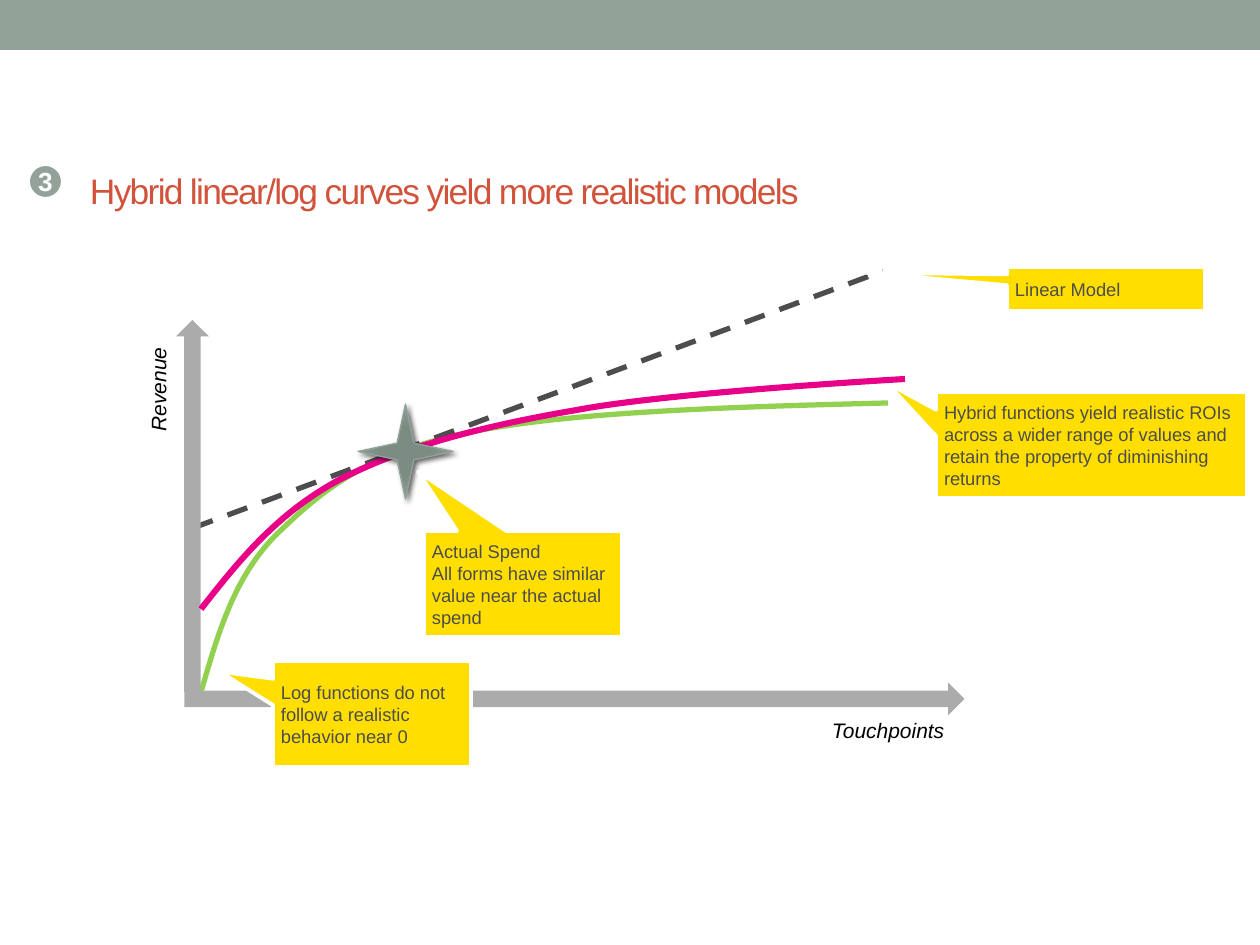
from lxml.etree import SubElement
from pptx import Presentation
from pptx.dml.color import RGBColor as Rgb
from pptx.enum.dml import MSO_LINE_DASH_STYLE as Dash
from pptx.enum.shapes import MSO_CONNECTOR as Connector, MSO_SHAPE as Shape
from pptx.enum.text import MSO_ANCHOR as Anchor, MSO_AUTO_SIZE as AutoSize, PP_ALIGN as Align
from pptx.oxml import parse_xml
from pptx.oxml.ns import nsdecls, qn
from pptx.util import Emu, Pt

PX = 914400 / 126
THEME = {
    "font": "Arial",
    "sage": "93A299", "title": "D2533C", "axis": "ABABAB", "yellow": "FFDE00",
    "gray": "4D4D4D", "white": "FFFFFF", "black": "000000",
    "log": "92D050", "hybrid": "E80088",
    "star": [(0, "7B8E82"), (34, "7B8D83"), (70, "8A9E92"), (100, "93A299")],
    "title_size": 20.2, "badge_size": 15, "axis_size": 12, "note_size": 10.5,
}


def write(shape, lines, color, size, inset=(8, 4), wrap=True, anchor=Anchor.MIDDLE,
          align=Align.LEFT, **style):
    """Fill a shape with one paragraph per line, all in one style."""
    frame = shape.text_frame
    frame.word_wrap, frame.vertical_anchor = wrap, anchor
    across, down = (Emu(round(pixels * PX)) for pixels in inset)
    for side, margin in zip(("left", "top", "right", "bottom"), (across, down) * 2):
        setattr(frame, f"margin_{side}", margin)
    for index, line in enumerate(lines):
        para = frame.add_paragraph() if index else frame.paragraphs[0]
        para.alignment = align
        span = para.add_run()
        span.text = line
        span.font.color.rgb = Rgb.from_string(THEME[color])
        for name, value in {"name": THEME["font"], "size": Pt(THEME[size]), **style}.items():
            setattr(span.font, name, value)


def draw(kind, place, fill=None, line=None, width=0):
    """Add a preset shape, placed in px, with a plain fill and outline."""
    shape = page.shapes.add_shape(kind, *(Emu(round(pixels * PX)) for pixels in place))
    shape.shadow.inherit = False
    if fill:
        shape.fill.solid()
        shape.fill.fore_color.rgb = Rgb.from_string(THEME[fill])
    if line:
        shape.line.color.rgb = Rgb.from_string(THEME[line])
        shape.line.width = Pt(width)
    else:
        shape.line.fill.background()
    return shape


deck = Presentation()
deck.slide_width, deck.slide_height = Emu(round(1260 * PX)), Emu(round(945 * PX))
page = deck.slides.add_slide(deck.slide_layouts[5])
parts = {}

# Header band, title, plot area and badge
draw(Shape.RECTANGLE, (0, 0, 1260, 50), "sage")
title = page.shapes.title
for name, pixels in {"left": 77, "top": 130, "width": 1171, "height": 121}.items():
    setattr(title, name, Emu(round(pixels * PX)))
write(title, ["Hybrid linear/log curves yield more realistic models"], "title", "title_size",
      inset=(13, 6))
title.text_frame.auto_size = AutoSize.NONE
title.text_frame.paragraphs[0].runs[0].font._element.set("spc", "-95")
draw(Shape.RECTANGLE, (74, 277, 945, 478), "white")
parts["badge"] = draw(Shape.OVAL, (26, 162, 39, 39), "sage", "white", 4.5)
write(parts["badge"], ["3"], "white", "badge_size", inset=(0, 0), align=Align.CENTER, bold=True)

# Curves: each start point is followed by cubic Bezier triples
curves = [
    ("log", 3, [(201, 692), (218, 634), (234, 576), (278, 533), (323, 490), (364, 455),
                (466, 433), (567, 412), (728, 407), (888, 403)]),
    ("hybrid", 3.5, [(201, 609), (238, 562), (276, 514), (339, 480), (402, 447), (483, 426),
                     (577, 410), (672, 392), (905, 379), (905, 379)]),
]
for name, width, knots in curves:
    start, *rest = [(round(x * PX), round(y * PX)) for x, y in knots]
    builder = page.shapes.build_freeform(*start)
    builder.add_line_segments(rest, close=False)
    curve = parts[name] = builder.convert_to_shape()
    outline = curve._element.spPr.find(".//" + qn("a:path"))
    segments = outline.findall(qn("a:lnTo"))
    for first in range(0, len(segments), 3):
        bend = SubElement(outline, qn("a:cubicBezTo"))
        for segment in segments[first:first + 3]:
            bend.append(segment[0])
            outline.remove(segment)
    curve.shadow.inherit = False
    curve.fill.background()
    curve.line.color.rgb = Rgb.from_string(THEME[name])
    curve.line.width = Pt(width)

linear = parts["linear"] = page.shapes.add_connector(
    Connector.STRAIGHT, *(Emu(round(pixels * PX)) for pixels in (193, 528, 883, 271)))
linear.line.color.rgb = Rgb.from_string(THEME["gray"])
linear.line.width = Pt(3)
linear.line.dash_style = Dash.DASH
SubElement(linear._element.spPr, qn("a:effectLst"))

# Axes
axes = [
    ("Revenue", (176, 320, 33, 372), 0, (108, 372, 101, 34), 270),
    ("Touchpoints", (558, 309, 33, 780), 90, (824, 714, 131, 34), 0),
]
for label, place, turn, label_place, label_turn in axes:
    arrow = parts[label + " axis"] = draw(Shape.UP_ARROW, place, "axis")
    arrow.rotation = turn
    box = parts[label] = page.shapes.add_textbox(
        *(Emu(round(pixels * PX)) for pixels in label_place))
    box.rotation = label_turn
    write(box, [label], "black", "axis_size", wrap=False, anchor=Anchor.TOP, italic=True)
    box.text_frame.auto_size = AutoSize.SHAPE_TO_FIT_TEXT

# Marker at the actual spend
star = parts["star"] = draw(Shape.STAR_4_POINT, (358, 404, 95, 95), line="sage", width=0.75)
stops = "".join(f'<a:gs pos="{at * 1000}"><a:srgbClr val="{color}"/></a:gs>'
                for at, color in THEME["star"])
properties = star._element.spPr
properties.find(qn("a:prstGeom")).addnext(parse_xml(
    f'<a:gradFill {nsdecls("a")} rotWithShape="1"><a:gsLst>{stops}</a:gsLst><a:path path="circle">'
    '<a:fillToRect l="100000" t="100000" r="100000" b="100000"/></a:path></a:gradFill>'))
properties.find(qn("a:effectLst")).append(parse_xml(
    f'<a:outerShdw {nsdecls("a")} blurRad="{Pt(3)}" dist="{Pt(2)}" dir="2700000">'
    f'<a:srgbClr val="{THEME["black"]}"><a:alpha val="60000"/></a:srgbClr></a:outerShdw>'))

# Callouts: place, pointer tip relative to the centre, lines
callouts = [
    ("hybrid note", (936, 392, 311, 106), (-0.66, -0.59),
     ["Hybrid functions yield realistic ROIs across a wider range of values and retain the "
      "property of diminishing returns"]),
    ("log note", (273, 661, 198, 106), (-0.77, -0.4),
     ["Log functions do not follow a realistic behavior near 0"]),
    ("linear note", (1007, 267, 198, 44), (-1.21, -0.37), ["Linear Model"]),
    ("spend note", (424, 531, 198, 106), (-0.53, -1.06),
     ["Actual Spend", "All forms have similar value near the actual spend"]),
]
for name, place, tip, lines in callouts:
    callout = parts[name] = draw(Shape.RECTANGULAR_CALLOUT, place, "yellow", "white", 2.25)
    for index, offset in enumerate(tip):
        callout.adjustments[index] = offset
    write(callout, lines, "gray", "note_size")

# Stack the parts from back to front
stack = ["log", "linear", "Revenue axis", "Touchpoints axis", "hybrid note", "Revenue",
         "Touchpoints", "hybrid", "badge", "log note", "linear note", "star", "spend note"]
for name in stack:
    page.shapes._spTree.append(parts[name]._element)

deck.save("out.pptx")
